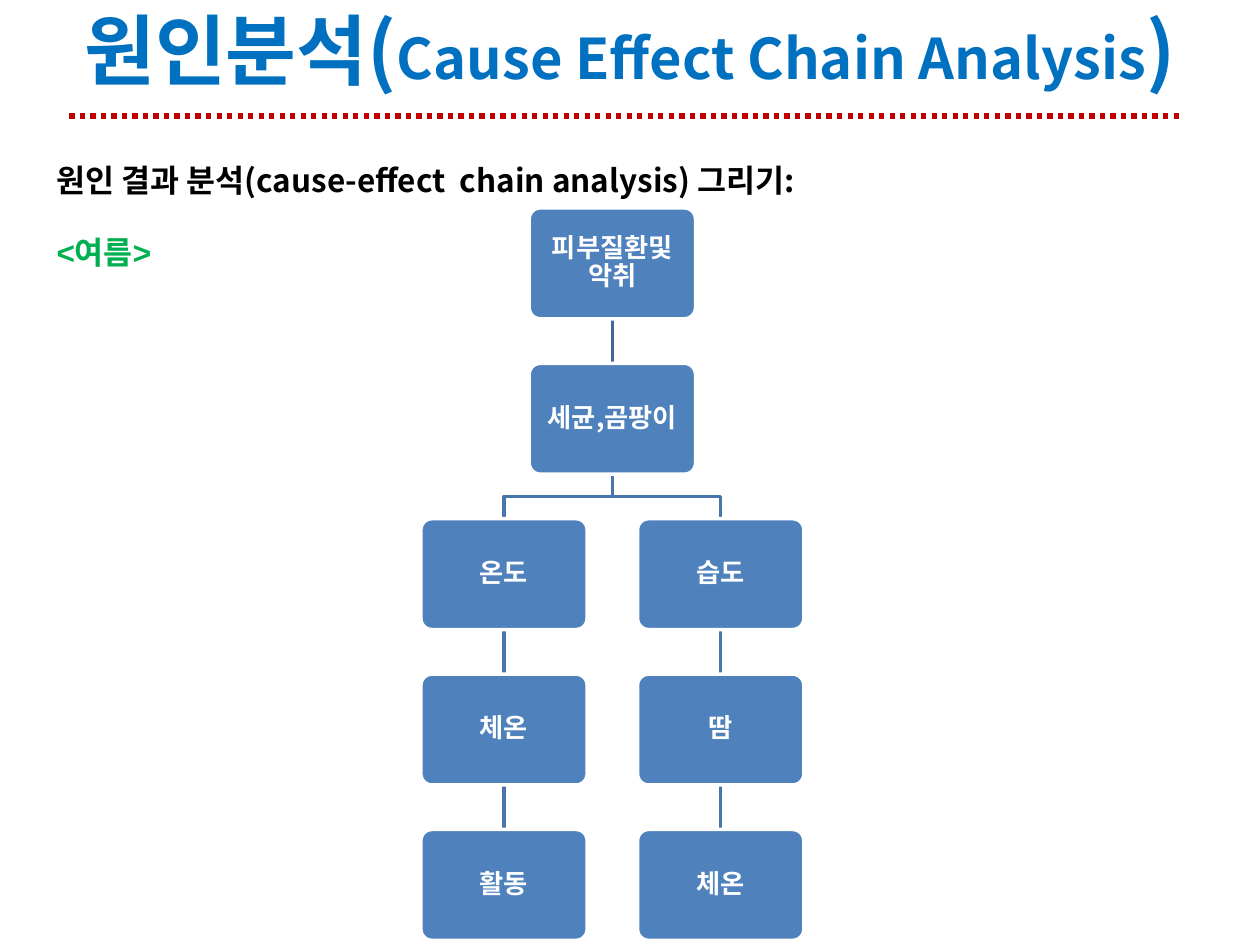
from lxml.etree import SubElement
from pptx import Presentation
from pptx.dml.color import RGBColor
from pptx.enum.dml import MSO_LINE_DASH_STYLE as DASH
from pptx.enum.shapes import MSO_CONNECTOR, MSO_SHAPE
from pptx.enum.text import MSO_ANCHOR as ANCHOR, MSO_AUTO_SIZE as AUTO_SIZE, PP_ALIGN as ALIGN
from pptx.oxml.ns import qn
from pptx.util import Inches, Pt

FONT = "Noto Sans CJK KR"
BOX_WIDTH, BOX_HEIGHT = 1.32, 0.88
TOP, ROW_STEP = 1.65, 1.2333
CENTER, LEFT, RIGHT = 4.86, 4.0, 5.72

# (text, centre x, row)
BOXES = [
    ("피부질환및악취", CENTER, 0),
    ("세균,곰팡이", CENTER, 1),
    ("온도", LEFT, 2), ("체온", LEFT, 3), ("활동", LEFT, 4),
    ("습도", RIGHT, 2), ("땀", RIGHT, 3), ("체온", RIGHT, 4),
]
# (parent x, child x, parent row)
LINKS = [(CENTER, CENTER, 0), (CENTER, LEFT, 1), (CENTER, RIGHT, 1)]
LINKS += [(x, x, row) for x in (LEFT, RIGHT) for row in (2, 3)]


def color(value):
    return RGBColor.from_string(value)


def apply(target, values):
    for name, value in values.items():
        setattr(target, name, value)


class SlideBuilder:
    def __init__(self, slide):
        self.slide = slide
        self.shapes = slide.shapes

    def runs(self, paragraph, parts, text_color, font=FONT):
        """Add bold runs given as (text, point size) pairs."""
        for text, size in parts:
            run = paragraph.add_run()
            run.text = text
            apply(run.font, {"size": Pt(size), "bold": True, "name": font})
            run.font.color.rgb = color(text_color)
            east_asian = SubElement(run._r.get_or_add_rPr(), qn("a:ea"))
            east_asian.set("typeface", FONT)

    def title(self, parts, left, top, width, height):
        title = self.shapes.title
        apply(title, {"left": Inches(left), "top": Inches(top),
                      "width": Inches(width), "height": Inches(height)})
        title.fill.solid()
        title.fill.fore_color.rgb = color("FFFFFF")
        apply(title.text_frame, {"auto_size": AUTO_SIZE.NONE, "word_wrap": True,
                                 "vertical_anchor": ANCHOR.MIDDLE})
        paragraph = title.text_frame.paragraphs[0]
        paragraph.alignment = ALIGN.CENTER
        self.runs(paragraph, parts, "0070C0")

    def text(self, text, left, top, width, text_color, font=FONT):
        box = self.shapes.add_textbox(Inches(left), Inches(top), Inches(width), Inches(0.4))
        apply(box.text_frame, {"word_wrap": True, "auto_size": AUTO_SIZE.SHAPE_TO_FIT_TEXT})
        self.runs(box.text_frame.paragraphs[0], [(text, 18)], text_color, font)

    def line(self, start, end, line_color, width, dash=None):
        connector = self.shapes.add_connector(
            MSO_CONNECTOR.STRAIGHT, *map(Inches, (*start, *end)))
        apply(connector.line, {"width": Pt(width), "dash_style": dash})
        connector.line.color.rgb = color(line_color)
        SubElement(connector._element.spPr, qn("a:effectLst"))

    def elbow(self, start, end, line_color, width):
        middle = (start[1] + end[1]) / 2
        points = [(start[0], middle), (end[0], middle), end]
        builder = self.shapes.build_freeform(*map(Inches, start))
        builder.add_line_segments(
            [(Inches(x), Inches(y)) for x, y in points], close=False)
        shape = builder.convert_to_shape()
        shape.shadow.inherit = False
        shape.fill.background()
        shape.line.width = Pt(width)
        shape.line.color.rgb = color(line_color)

    def link(self, parent_x, child_x, row):
        start = (parent_x, TOP + row * ROW_STEP + BOX_HEIGHT)
        end = (child_x, TOP + (row + 1) * ROW_STEP)
        draw = self.line if parent_x == child_x else self.elbow
        draw(start, end, "4875AC" if row else "3F6797", 2)

    def box(self, text, center_x, row):
        shape = self.shapes.add_shape(
            MSO_SHAPE.ROUNDED_RECTANGLE, Inches(center_x - BOX_WIDTH / 2),
            Inches(TOP + row * ROW_STEP), Inches(BOX_WIDTH), Inches(BOX_HEIGHT))
        shape.adjustments[0] = 0.1
        shape.shadow.inherit = False
        shape.fill.solid()
        shape.fill.fore_color.rgb = color("4F81BD")
        shape.line.width = Pt(2)
        shape.line.color.rgb = color("FFFFFF")
        frame = shape.text_frame
        apply(frame, {"word_wrap": True, "vertical_anchor": ANCHOR.MIDDLE})
        apply(frame, {f"margin_{side}": Inches(0.06)
                      for side in ("left", "top", "right", "bottom")})
        paragraph = frame.paragraphs[0]
        apply(paragraph, {"alignment": ALIGN.CENTER, "line_spacing": 0.9})
        self.runs(paragraph, [(text, 15)], "FFFFFF")


def main():
    presentation = Presentation()
    apply(presentation, {"slide_width": Inches(10), "slide_height": Inches(7.5)})
    slide = presentation.slides.add_slide(presentation.slide_layouts[0])
    subtitle = slide.placeholders[1]._element
    subtitle.getparent().remove(subtitle)

    builder = SlideBuilder(slide)
    builder.text("원인 결과 분석(cause-effect  chain analysis) 그리기:", 0.35, 1.23, 8.82, "000000")
    builder.title([("원인분석(", 44), ("Cause Effect Chain Analysis", 32), (")", 44)],
                  0, -0.08, 10, 0.94)
    builder.line((0.55, 0.92), (9.38, 0.92), "C00000", 3, DASH.ROUND_DOT)
    for link in LINKS:
        builder.link(*link)
    for box in BOXES:
        builder.box(*box)
    builder.text("<여름>", 0.35, 1.8, 1.42, "00B050", "Arial")
    presentation.save("out.pptx")


if __name__ == "__main__":
    main()
